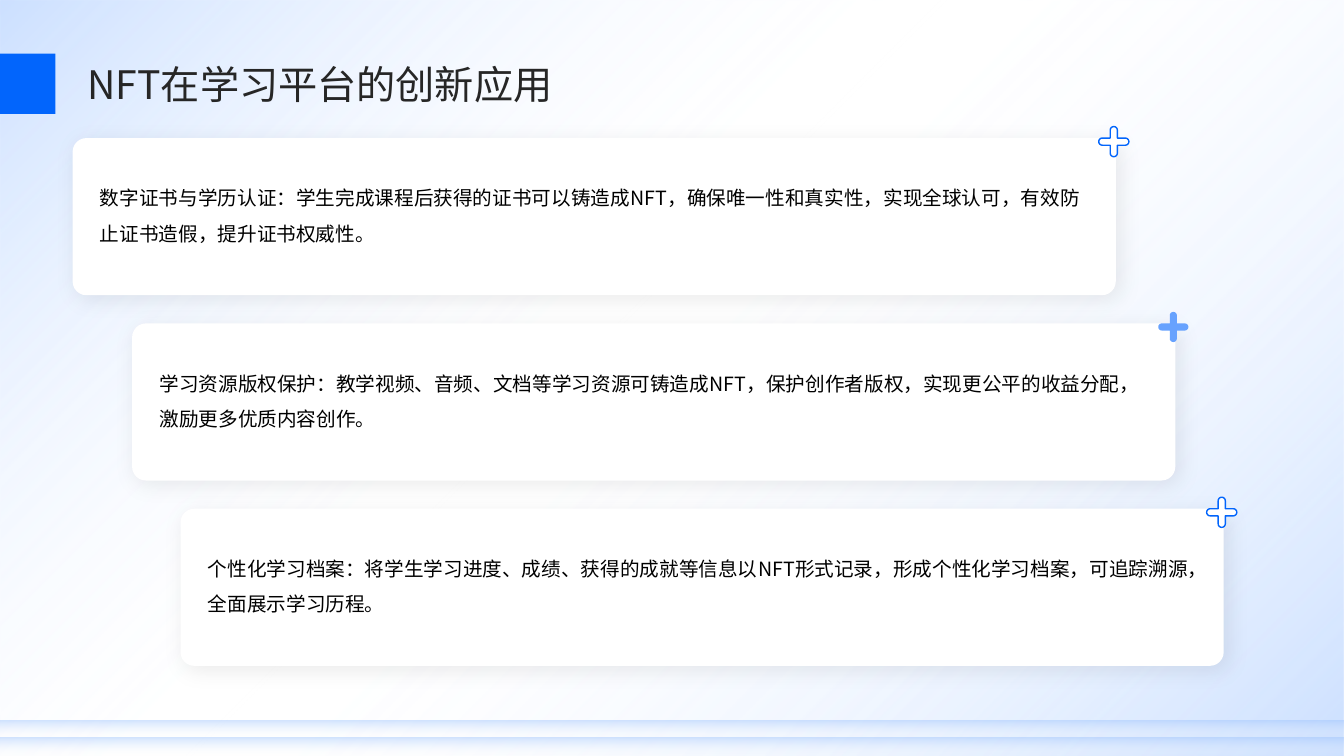
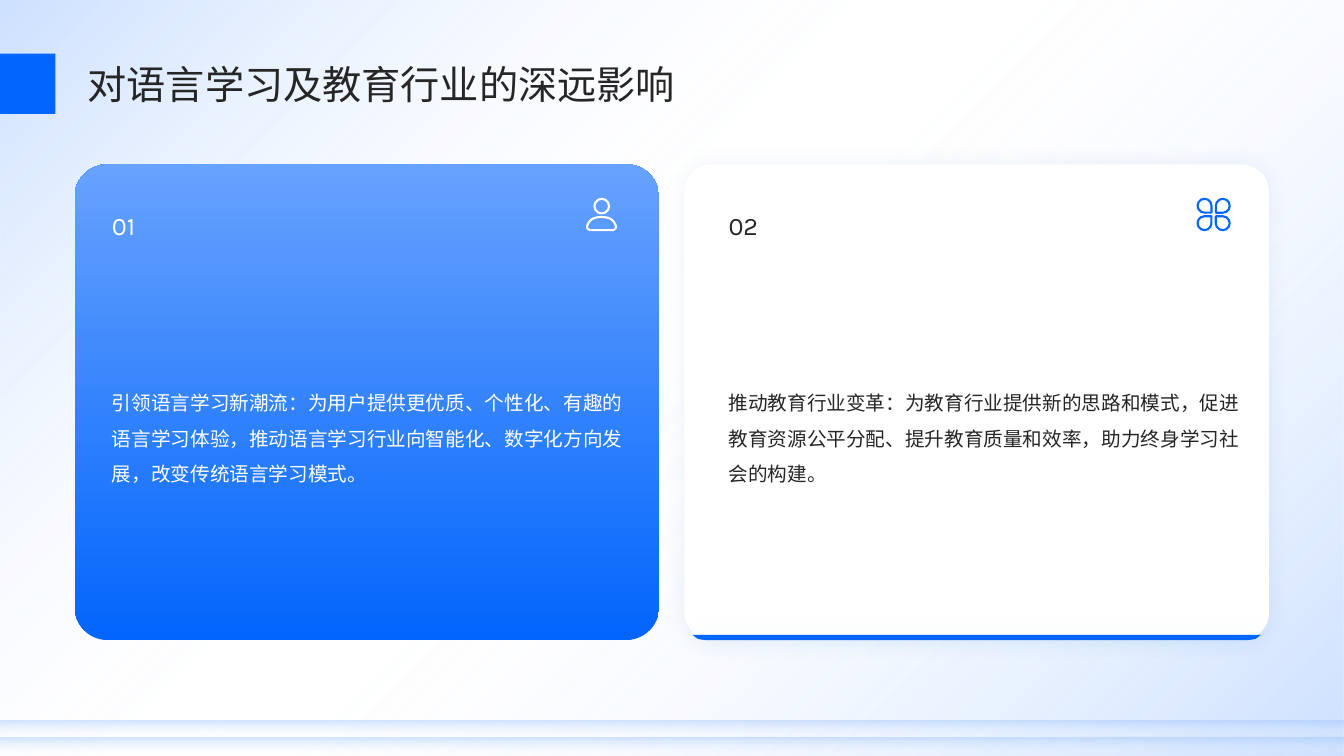
from dataclasses import dataclass
from math import cos, pi, sin
from typing import NamedTuple

from lxml.etree import SubElement
from pptx import Presentation
from pptx.dml.color import RGBColor
from pptx.enum.shapes import MSO_SHAPE
from pptx.enum.text import MSO_ANCHOR
from pptx.oxml.ns import qn
from pptx.util import Cm, Pt


@dataclass(frozen=True)
class Theme:
    blue: str = "0265FC"
    light_blue: str = "67A2FE"
    pale_blue: str = "CCE0FF"
    band_blue: str = "99C1FE"
    white: str = "FFFFFF"
    black: str = "000000"
    ink: str = "262626"
    font: str = "Noto Sans CJK SC"
    number_font: str = "Karla"
    title_size: int = 28
    number_size: int = 18
    body_size: int = 14
    icon_line: float = 1.5


class Box(NamedTuple):
    """Left, top, width and height in centimetres."""
    left: float
    top: float
    width: float
    height: float

    def inner(self, left, top, width, height):
        return Box(self.left + left, self.top + top, width, height)

    def lengths(self):
        return [Cm(value) for value in self]


THEME = Theme()
PAGE = Box(0, 0, 33.87, 19.05)


# Fills, lines and shadows
def add_color(parent, color, alpha=100):
    node = SubElement(parent, qn("a:srgbClr"), val=color)
    if alpha < 100:
        SubElement(node, qn("a:alpha"), val=str(alpha * 1000))


def set_gradient(shape, stops, angle):
    shape.fill.gradient()
    gradient = shape._element.spPr.find(qn("a:gradFill"))
    for child in list(gradient):
        gradient.remove(child)
    stop_list = SubElement(gradient, qn("a:gsLst"))
    for position, color, alpha in stops:
        stop = SubElement(stop_list, qn("a:gs"), pos=str(position * 1000))
        add_color(stop, color, alpha)
    SubElement(gradient, qn("a:lin"), ang=str(angle * 60000), scaled="0")


def set_shadow(shape, color, alpha, blur, distance=0, angle=0):
    effects = shape._element.spPr.find(qn("a:effectLst"))
    shadow = SubElement(effects, qn("a:outerShdw"), blurRad=str(Pt(blur)),
                        dist=str(Pt(distance)), dir=str(angle * 60000),
                        algn="ctr", rotWithShape="0")
    add_color(shadow, color, alpha)


def paint(shape, fill=None, line=None, width=1):
    shape.shadow.inherit = False
    if fill:
        shape.fill.solid()
        shape.fill.fore_color.rgb = RGBColor.from_string(fill)
    else:
        shape.fill.background()
    if line:
        shape.line.color.rgb = RGBColor.from_string(line)
        shape.line.width = Pt(width)
    else:
        shape.line.fill.background()
    return shape


# Basic parts
def add_block(page, kind, box, fill=None, line=None, width=1, adjust=None):
    shape = page.shapes.add_shape(kind, *box.lengths())
    if adjust is not None:
        shape.adjustments[0] = adjust
    return paint(shape, fill, line, width)


def add_outline(page, points, fill=None, line=None, width=1):
    corners = [(Cm(x), Cm(y)) for x, y in points]
    builder = page.shapes.build_freeform(*corners[0])
    builder.add_line_segments(corners[1:], close=True)
    return paint(builder.convert_to_shape(), fill, line, width)


def add_text(page, box, text, size, color, font=THEME.font, spacing=1.5,
             anchor=MSO_ANCHOR.MIDDLE, inset=True):
    frame = page.shapes.add_textbox(*box.lengths()).text_frame
    frame.word_wrap = True
    frame.vertical_anchor = anchor
    if not inset:
        frame.margin_left = frame.margin_right = 0
        frame.margin_top = frame.margin_bottom = 0
    para = frame.paragraphs[0]
    para.text = text
    para.line_spacing = spacing
    para.font.size = Pt(size)
    para.font.color.rgb = RGBColor.from_string(color)
    para.font.name = font
    # East Asian text needs its own typeface entry
    properties = para._p.get_or_add_pPr().find(qn("a:defRPr"))
    SubElement(properties, qn("a:ea"), typeface=font)


# Icons
def add_plus(page, x, y, fill, line):
    reach, radius, steps = 0.38, 0.09, 8
    points = []
    for arm in range(4):
        angle = arm * pi / 2
        center_x = x + (reach - radius) * cos(angle)
        center_y = y + (reach - radius) * sin(angle)
        for step in range(steps + 1):
            turn = angle - pi / 2 + pi * step / steps
            points.append((center_x + radius * cos(turn),
                           center_y + radius * sin(turn)))
        corner = angle + pi / 4
        points.append((x + radius * 2 ** 0.5 * cos(corner),
                       y + radius * 2 ** 0.5 * sin(corner)))
    add_outline(page, points, fill, line)


def curve(start, first, second, end, steps=10):
    for step in range(steps + 1):
        t = step / steps
        weights = ((1 - t) ** 3, 3 * t * (1 - t) ** 2,
                   3 * t * t * (1 - t), t ** 3)
        yield tuple(sum(weight * point[axis] for weight, point
                        in zip(weights, (start, first, second, end)))
                    for axis in (0, 1))


def add_person(page, box, color):
    add_block(page, MSO_SHAPE.OVAL, box.inner(0.2, 0.03, 0.37, 0.37),
              line=color, width=THEME.icon_line)
    # Right half of the shoulders, mirrored for the left half
    half = [*curve((0, 0.49), (0.22, 0.49), (0.31, 0.57), (0.36, 0.71)),
            *curve((0.36, 0.71), (0.38, 0.77), (0.33, 0.82), (0.27, 0.82))]
    middle = box.left + 0.38
    points = [(middle + x, box.top + y) for x, y in half]
    points += [(middle - x, box.top + y) for x, y in reversed(half)]
    add_outline(page, points, line=color, width=THEME.icon_line)


def add_petals(page, box, color):
    petal, pitch = 0.35, 0.46
    for column, row, turn in ((0, 0, 90), (1, 0, 180), (1, 1, 270), (0, 1, 0)):
        place = box.inner(0.03 + column * pitch, 0.03 + row * 0.44,
                          petal, petal)
        shape = add_block(page, MSO_SHAPE.TEAR, place, line=color,
                          width=THEME.icon_line)
        shape.rotation = turn


# Shared frame of every slide
def add_page(deck, title):
    page = deck.slides.add_slide(deck.slide_layouts[6])
    backdrop = add_block(page, MSO_SHAPE.RECTANGLE, PAGE)
    set_gradient(backdrop, [(0, THEME.pale_blue, 100), (45, THEME.white, 0),
                            (100, THEME.pale_blue, 100)], 45)
    for top in (18.16, 18.59):
        band = add_block(page, MSO_SHAPE.RECTANGLE,
                         Box(0, top, PAGE.width, 0.46))
        set_gradient(band, [(0, THEME.band_blue, 45),
                            (100, THEME.white, 0)], 90)
    add_text(page, Box(2.21, 1.4, 30.18, 1.3), title, THEME.title_size,
             THEME.ink, spacing=1.1, inset=False)
    add_block(page, MSO_SHAPE.RECTANGLE, Box(0, 1.35, 1.4, 1.52), THEME.blue)
    return page


# Stepped cards
def add_step_card(page, box, text, plus_fill, plus_line):
    card = add_block(page, MSO_SHAPE.ROUNDED_RECTANGLE, box, THEME.white,
                     adjust=0.088)
    set_shadow(card, THEME.black, 8, 16, 3, 45)
    add_text(page, box.inner(0.69, 0.3, 24.92, 3.02), text, THEME.body_size,
             THEME.black, inset=False)
    add_plus(page, box.left + 26.24, box.top + 0.09, plus_fill, plus_line)


def add_steps_page(deck, title, cards):
    page = add_page(deck, title)
    for index, (left, text) in enumerate(cards):
        outlined = index % 2 == 0
        add_step_card(page, Box(left, 3.48 + index * 4.67, 26.29, 3.96), text,
                      THEME.white if outlined else THEME.light_blue,
                      THEME.blue if outlined else None)


# Numbered panels
def add_panel_text(page, box, indent, number, text, color):
    add_text(page, box.inner(indent, 2.16, 13.64, 9.2), text,
             THEME.body_size, color)
    add_text(page, box.inner(indent, 0.15, 11.6, 1.9), number,
             THEME.number_size, color, THEME.number_font, 1.1,
             MSO_ANCHOR.BOTTOM)


def add_blue_panel(page, box, number, text):
    panel = add_block(page, MSO_SHAPE.ROUNDED_RECTANGLE, box, adjust=0.069)
    set_gradient(panel, [(0, THEME.blue, 100),
                         (100, THEME.light_blue, 100)], 270)
    add_panel_text(page, box, 0.69, number, text, THEME.white)
    add_person(page, box.inner(12.9, 0.84, 0.76, 0.84), THEME.white)


def add_white_panel(page, box, number, text):
    panel = add_block(page, MSO_SHAPE.ROUNDED_RECTANGLE, box, THEME.white,
                      adjust=0.058)
    set_shadow(panel, "014CBD", 8, 15)
    # Accent strip along the rounded foot
    half = [(7.16, -0.13), (7.03, -0.03), (6.93, -0.01), (6.83, 0)]
    middle, foot = box.left + box.width / 2, box.top + box.height
    points = [(middle + x, foot + y) for x, y in half]
    points += [(middle - x, foot + y) for x, y in reversed(half)]
    strip = add_outline(page, points, THEME.blue)
    set_shadow(strip, "08BFF8", 10, 15)
    add_petals(page, box.inner(12.9, 0.84, 0.86, 0.84), THEME.blue)
    add_panel_text(page, box, 0.86, number, text, THEME.ink)


def add_panels_page(deck, title, panels):
    page = add_page(deck, title)
    for index, (add_panel, text) in enumerate(panels):
        box = Box(1.88 + index * 15.37, 4.14, 14.73, 11.99)
        add_panel(page, box, f"{index + 1:02}", text)


def main():
    deck = Presentation()
    deck.slide_width, deck.slide_height = Cm(PAGE.width), Cm(PAGE.height)
    add_steps_page(deck, "NFT在学习平台的创新应用", [
        (1.83, "数字证书与学历认证：学生完成课程后获得的证书可以铸造成NFT，"
               "确保唯一性和真实性，实现全球认可，有效防止证书造假，提升证书权威性。"),
        (3.33, "学习资源版权保护：教学视频、音频、文档等学习资源可铸造成NFT，"
               "保护创作者版权，实现更公平的收益分配，激励更多优质内容创作。"),
        (4.55, "个性化学习档案：将学生学习进度、成绩、获得的成就等信息以NFT形式记录，"
               "形成个性化学习档案，可追踪溯源，全面展示学习历程。"),
    ])
    add_panels_page(deck, "对语言学习及教育行业的深远影响", [
        (add_blue_panel,
         "引领语言学习新潮流：为用户提供更优质、个性化、有趣的语言学习体验，"
         "推动语言学习行业向智能化、数字化方向发展，改变传统语言学习模式。"),
        (add_white_panel,
         "推动教育行业变革：为教育行业提供新的思路和模式，"
         "促进教育资源公平分配、提升教育质量和效率，助力终身学习社会的构建。"),
    ])
    deck.save("out.pptx")


if __name__ == "__main__":
    main()
